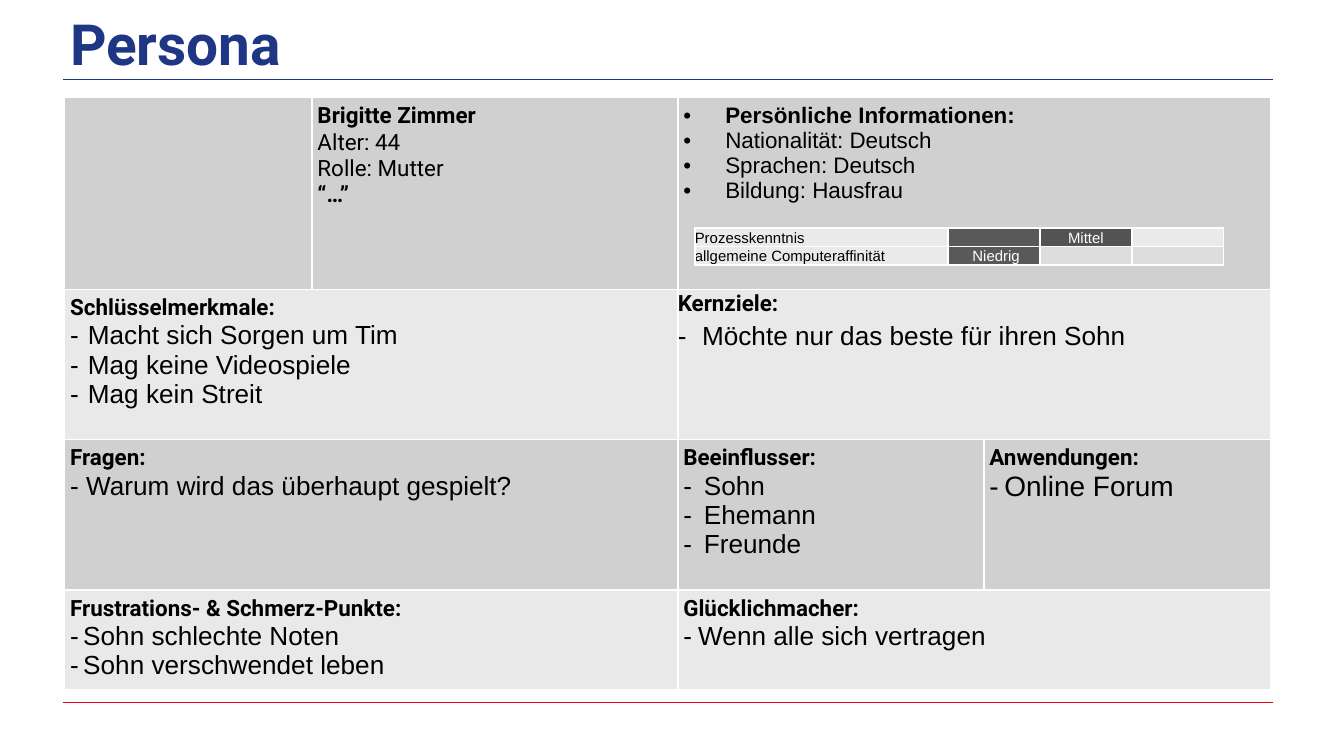
from lxml.etree import SubElement as Sub
from pptx import Presentation
from pptx.dml.color import RGBColor as RGB
from pptx.enum.shapes import MSO_CONNECTOR as Conn
from pptx.enum.text import MSO_ANCHOR as Anchor, PP_ALIGN as Align
from pptx.oxml.ns import qn
from pptx.util import Pt

DARK, LIGHT = "D0D0D0", "E9E9E9"
BLUE, RED, BLACK, WHITE = "1F3685", "E30613", "000000", "FFFFFF"

RULES = [(42.5, BLUE), (376.5, RED)]
COLS = [132.5, 196, 164, 153.5]
ROWS = [102.8, 80.5, 80.5, 53.6]


def head(text):
    return dict(text=text, font="Roboto", bold=True)


def items(texts, indent, size=14, mark="-", **more):
    return [dict(text=t, size=size, mark=mark, indent=indent, **more)
            for t in texts]


# (row, column, columns spanned, inset, paragraphs)
CELLS = [
    (0, 0, 1, 3, []),
    (0, 1, 1, 3, [head("Brigitte Zimmer"),
                  dict(text="Alter: 44", font="Roboto"),
                  dict(text="Rolle: Mutter", font="Roboto"),
                  head("“…”")]),
    (0, 2, 2, 3,
     items(["Persönliche Informationen:"], 22.5, 12, "•", bold=True)
     + items(["Nationalität: Deutsch", "Sprachen: Deutsch",
              "Bildung: Hausfrau"], 22.5, 12, "•")),
    (1, 0, 2, 3, [head("Schlüsselmerkmale:")]
     + items(["Macht sich Sorgen um Tim", "Mag keine Videospiele",
              "Mag kein Streit"], 9.5)),
    (1, 2, 2, 0, [dict(head("Kernziele:"), space=1.07)]
     + items(["Möchte nur das beste für ihren Sohn"], 13, space=1.15)),
    (2, 0, 2, 3, [head("Fragen:"),
                  dict(text="- Warum wird das überhaupt gespielt?", size=14)]),
    (2, 2, 1, 3, [head("Beeinflusser:")]
     + items(["Sohn", "Ehemann", "Freunde"], 11)),
    (2, 3, 1, 3, [head("Anwendungen:")]
     + items(["Online Forum"], 8, 15)),
    (3, 0, 2, 3, [head("Frustrations- & Schmerz-Punkte:")]
     + items(["Sohn schlechte Noten", "Sohn verschwendet leben"], 7)),
    (3, 2, 2, 3, [head("Glücklichmacher:")]
     + items(["Wenn alle sich vertragen"], 8)),
]

SKILL_COLS = [135.8, 49.2, 49.2, 49.2]
SKILL_ROWS = [9.8, 9.8]
SKILLS = [
    [("Prozesskenntnis", "EAEAEA"), ("", "595959"),
     ("Mittel", "535353"), ("", "EAEAEA")],
    [("allgemeine Computeraffinität", "EAEAEA"), ("\u00a0Niedrig", "595959"),
     ("", "DDDDDD"), ("", "DDDDDD")],
]


def color(code):
    return RGB.from_string(code)


def write(para, text, size=12, font="Arial", bold=False, ink=BLACK,
          mark=None, indent=0, space=None):
    para.text = text
    if mark:
        props = para._p.get_or_add_pPr()
        props.set("marL", str(Pt(indent)))
        props.set("indent", str(-Pt(indent)))
        Sub(props, qn("a:buFont"), typeface="Arial")
        Sub(props, qn("a:buChar"), char=mark)
    if space:
        para.line_spacing = space
    face = para.font
    face.name, face.size, face.bold = font, Pt(size), bold
    face.color.rgb = color(ink)
    if not text:
        para._p.get_or_add_endParaRPr().set("sz", str(size * 100))


def inset(cell, gap):
    cell.margin_left = cell.margin_right = Pt(gap)
    cell.margin_top = cell.margin_bottom = Pt(gap)


def border(cell):
    props = cell._tc.get_or_add_tcPr()
    for side in ("lnL", "lnR", "lnT", "lnB"):
        line = Sub(props, qn("a:" + side), w=str(Pt(1)))
        fill = Sub(line, qn("a:solidFill"))
        Sub(fill, qn("a:srgbClr"), val=WHITE)


def paint(cell, code):
    cell.fill.solid()
    cell.fill.fore_color.rgb = color(code)


def grid(slide, left, top, cols, rows):
    """Add an unstyled table with white borders."""
    table = slide.shapes.add_table(len(rows), len(cols), Pt(left), Pt(top),
                                   Pt(sum(cols)), Pt(sum(rows))).table
    table.first_row = table.horz_banding = False
    for col, width in zip(table.columns, cols):
        col.width = Pt(width)
    for row, height in zip(table.rows, rows):
        row.height = Pt(height)
    for cell in table.iter_cells():
        border(cell)
    return table


def rule(slide, y, code):
    line = slide.shapes.add_connector(Conn.STRAIGHT, Pt(34), Pt(y),
                                      Pt(682), Pt(y))
    line.line.color.rgb = color(code)
    line.line.width = Pt(0.75)
    Sub(line._element.spPr, qn("a:effectLst"))


def heading(slide, text):
    title = slide.shapes.title
    title.left, title.top = Pt(34), Pt(1.5)
    title.width, title.height = Pt(648), Pt(42.5)
    frame = title.text_frame
    inset(frame, 3.6)
    frame.vertical_anchor = Anchor.MIDDLE
    para = frame.paragraphs[0]
    write(para, text, 30.4, "Roboto", True, BLUE)
    para.alignment = Align.LEFT


def persona(slide):
    table = grid(slide, 34.6, 52.2, COLS, ROWS)
    for row, col, span, gap, paras in CELLS:
        cell = table.cell(row, col)
        if span > 1:
            cell.merge(table.cell(row, col + span - 1))
        inset(cell, gap)
        frame = cell.text_frame
        for i, para in enumerate(paras):
            write(frame.add_paragraph() if i else frame.paragraphs[0], **para)
    for i, row in enumerate(table.rows):
        for cell in row.cells:
            paint(cell, LIGHT if i % 2 else DARK)


def skills(slide):
    table = grid(slide, 372.2, 122.3, SKILL_COLS, SKILL_ROWS)
    for r, row in enumerate(SKILLS):
        for c, (text, code) in enumerate(row):
            cell = table.cell(r, c)
            inset(cell, 0)
            cell.vertical_anchor = Anchor.MIDDLE
            para = cell.text_frame.paragraphs[0]
            write(para, text, 8, ink=WHITE if c else BLACK, space=1.07)
            para.alignment = Align.CENTER if c else Align.LEFT
            paint(cell, code)


def main():
    deck = Presentation()
    deck.slide_width, deck.slide_height = Pt(720), Pt(405)
    slide = deck.slides.add_slide(deck.slide_layouts[5])
    for y, code in RULES:
        rule(slide, y, code)
    heading(slide, "Persona")
    persona(slide)
    skills(slide)
    deck.save("out.pptx")


if __name__ == "__main__":
    main()
